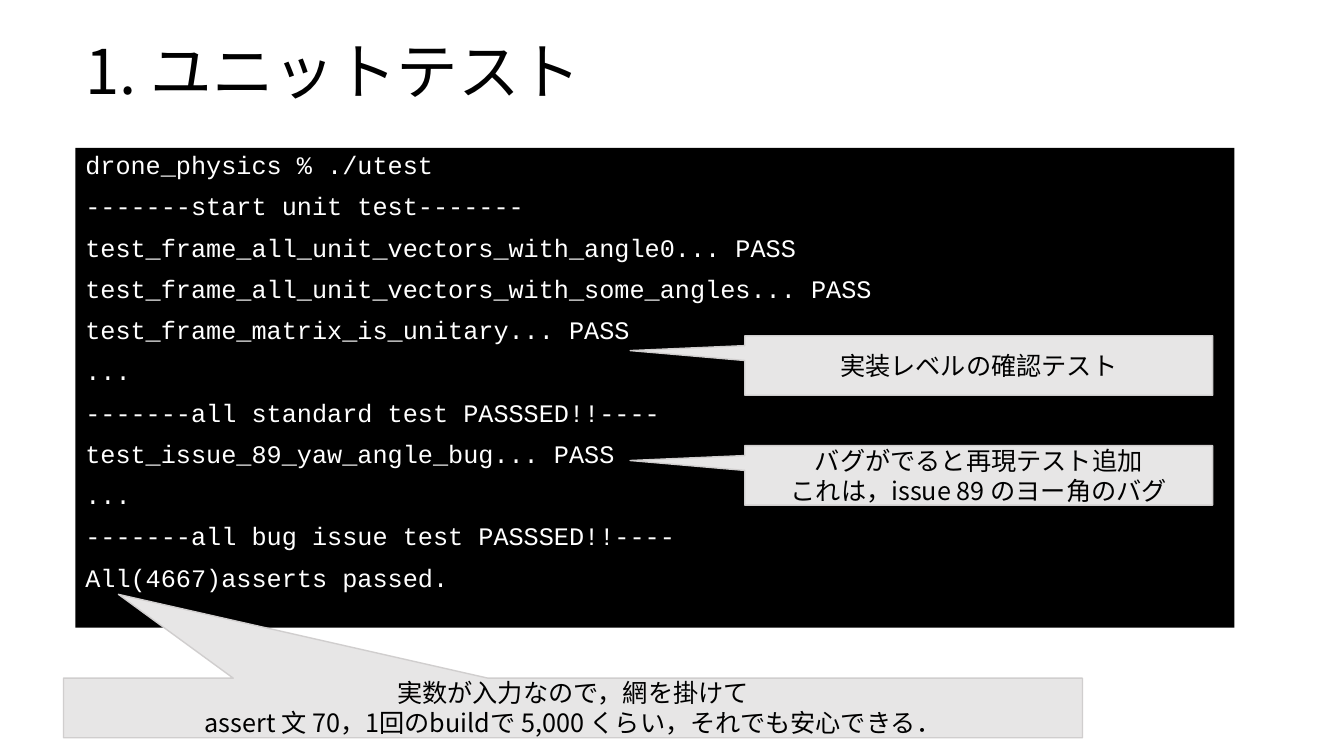
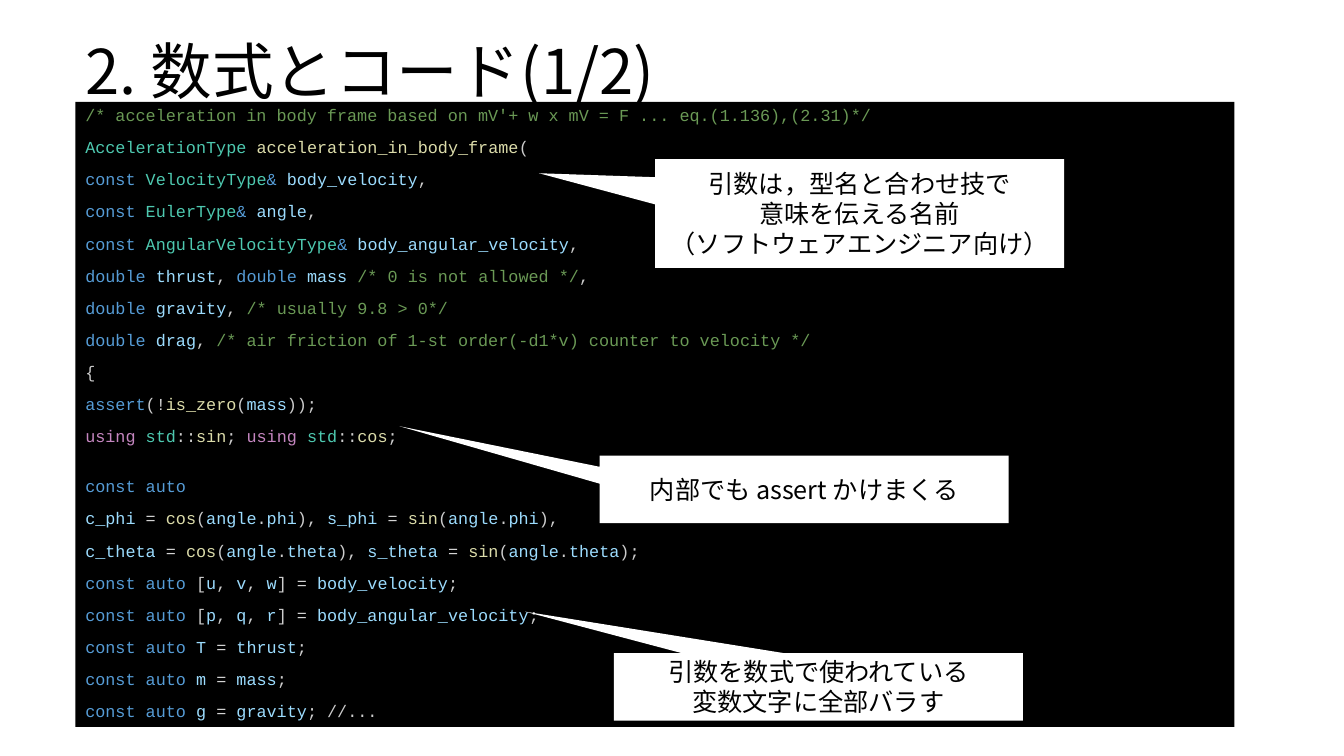
from itertools import groupby

from lxml.etree import SubElement
from pptx import Presentation
from pptx.dml.color import RGBColor
from pptx.enum.shapes import MSO_SHAPE
from pptx.enum.text import MSO_ANCHOR, PP_ALIGN
from pptx.oxml.ns import qn
from pptx.util import Cm, Pt

BLACK = RGBColor(0x00, 0x00, 0x00)
WHITE = RGBColor(0xFF, 0xFF, 0xFF)
LIGHT_GREY = RGBColor(0xE7, 0xE6, 0xE6)
BORDER_GREY = RGBColor(0xD0, 0xCE, 0xCE)
COMMENT_GREEN = RGBColor(0x6A, 0x99, 0x55)
TYPE_TEAL = RGBColor(0x4E, 0xC9, 0xB0)
FUNCTION_YELLOW = RGBColor(0xDC, 0xDC, 0xAA)
KEYWORD_BLUE = RGBColor(0x56, 0x9C, 0xD6)
USING_PURPLE = RGBColor(0xC5, 0x86, 0xC0)
VARIABLE_BLUE = RGBColor(0x9C, 0xDC, 0xFE)
OPERATOR_GREY = RGBColor(0xD4, 0xD4, 0xD4)
PUNCTUATION_GREY = RGBColor(0xCC, 0xCC, 0xCC)

WORD_COLORS = {
    **dict.fromkeys(["const", "auto", "double", "assert"], KEYWORD_BLUE),
    **dict.fromkeys(["AccelerationType", "VelocityType", "EulerType",
                     "AngularVelocityType", "std"], TYPE_TEAL),
    **dict.fromkeys(["acceleration_in_body_frame", "is_zero", "sin", "cos"],
                    FUNCTION_YELLOW),
    "using": USING_PURPLE,
}
SYMBOL_COLORS = {"&": KEYWORD_BLUE, "=": OPERATOR_GREY, "!": OPERATOR_GREY}

TERMINAL_LINES = [
    "drone_physics % ./utest",
    "-------start unit test-------",
    "test_frame_all_unit_vectors_with_angle0... PASS",
    "test_frame_all_unit_vectors_with_some_angles... PASS",
    "test_frame_matrix_is_unitary... PASS",
    "...",
    "-------all standard test PASSSED!!----",
    "test_issue_89_yaw_angle_bug... PASS",
    "...",
    "-------all bug issue test PASSSED!!----",
    "All(4667)asserts passed.",
]
SIGNATURE_LINES = [
    "/* acceleration in body frame based on mV'+ w x mV = F ... eq.(1.136),(2.31)*/",
    "AccelerationType acceleration_in_body_frame(",
    "const VelocityType& body_velocity,",
    "const EulerType& angle,",
    "const AngularVelocityType& body_angular_velocity,",
    "double thrust, double mass /* 0 is not allowed */,",
    "double gravity, /* usually 9.8 > 0*/",
    "double drag, /* air friction of 1-st order(-d1*v) counter to velocity */",
    "{",
    "assert(!is_zero(mass));",
    "using std::sin; using std::cos;",
]
FORMULA_LINES = [
    "const auto",
    "c_phi = cos(angle.phi), s_phi = sin(angle.phi),",
    "c_theta = cos(angle.theta), s_theta = sin(angle.theta);",
    "const auto [u, v, w] = body_velocity;",
    "const auto [p, q, r] = body_angular_velocity;",
    "const auto T = thrust;",
    "const auto m = mass;",
    "const auto g = gravity; //...",
]


def character_kind(character):
    if character.isalnum() or character == "_":
        return "word"
    return SYMBOL_COLORS.get(character, PUNCTUATION_GREY)


def highlight(line):
    pieces = []
    for index, part in enumerate(line.replace("*/", "/*").split("/*")):
        if index % 2:
            pieces.append((f"/*{part}*/", COMMENT_GREEN))
            continue
        for kind, characters in groupby(part, character_kind):
            text = "".join(characters)
            color = WORD_COLORS.get(text, VARIABLE_BLUE) if kind == "word" else kind
            pieces.append((text, color))
    return pieces


def plain(line):
    return [(line, WHITE)]


class Deck:
    text_font = "Noto Sans CJK JP"
    code_font = "Courier New"
    left, width = Cm(1.9), Cm(29.21)

    def __init__(self):
        self.presentation = Presentation()
        self.presentation.slide_width = Cm(33.87)
        self.presentation.slide_height = Cm(19.05)
        self.slide = None

    def format_run(self, run, font, size, color):
        run.font.size = Pt(size)
        run.font.color.rgb = color
        run.font.name = font
        east_asian = SubElement(run.font._element, qn("a:ea"))
        east_asian.set("typeface", font)

    def add_slide(self, title):
        self.slide = self.presentation.slides.add_slide(
            self.presentation.slide_layouts[6])
        frame = self.slide.shapes.add_textbox(
            self.left, Cm(0.05), self.width, Cm(3.68)).text_frame
        frame.word_wrap = True
        frame.vertical_anchor = MSO_ANCHOR.MIDDLE
        frame.text = title
        paragraph = frame.paragraphs[0]
        paragraph.line_spacing = 0.9
        self.format_run(paragraph.runs[0], self.text_font, 44, BLACK)

    def add_box(self, kind, left, top, width, height, fill, border=None):
        shape = self.slide.shapes.add_shape(kind, left, top, width, height)
        shape.shadow.inherit = False
        shape.fill.solid()
        shape.fill.fore_color.rgb = fill
        if border is None:
            shape.line.fill.background()
        else:
            shape.line.color.rgb = border
            shape.line.width = Pt(1)
        shape.text_frame.word_wrap = True
        return shape

    def add_code(self, top, height, sections, size, colorize):
        frame = self.add_box(MSO_SHAPE.RECTANGLE, self.left, Cm(top),
                             self.width, Cm(height), BLACK).text_frame
        frame.vertical_anchor = MSO_ANCHOR.TOP
        paragraph = None
        for lines in sections:
            for index, line in enumerate(lines):
                paragraph = frame.add_paragraph() if paragraph else frame.paragraphs[0]
                starts_section = index == 0 and lines is not sections[0]
                paragraph.space_before = Pt(22.7 if starts_section else 10)
                paragraph.line_spacing = 0.9
                paragraph.alignment = PP_ALIGN.LEFT
                for text, color in colorize(line):
                    run = paragraph.add_run()
                    run.text = text
                    self.format_run(run, self.code_font, size, color)

    def add_callout(self, position, size, pointer, text, fill=WHITE, border=None):
        left, top, width, height = map(Cm, position + size)
        shape = self.add_box(MSO_SHAPE.RECTANGULAR_CALLOUT, left, top,
                             width, height, fill, border)
        shape.adjustments[0], shape.adjustments[1] = pointer
        frame = shape.text_frame
        frame.vertical_anchor = MSO_ANCHOR.MIDDLE
        frame.text = text
        for paragraph in frame.paragraphs:
            paragraph.alignment = PP_ALIGN.CENTER
            paragraph.line_spacing = Pt(21.5)
            self.format_run(paragraph.runs[0], self.text_font, 18, BLACK)


def build_unit_test(deck):
    deck.add_slide("1. ユニットテスト")
    deck.add_code(3.73, 12.09, [TERMINAL_LINES], 18, plain)
    side_size, side_pointer = (11.79, 1.5), (-0.745, -0.25)
    for position, size, pointer, text in [
        ((1.6, 17.09), (25.68, 1.5), (-0.446, -1.908),
         "実数が入力なので，網を掛けて\n"
         "assert 文 70，1回のbuildで 5,000 くらい，それでも安心できる．"),
        ((18.77, 11.23), side_size, side_pointer,
         "バグがでると再現テスト追加\nこれは，issue 89 のヨー角のバグ"),
        ((18.77, 8.46), side_size, side_pointer, "実装レベルの確認テスト"),
    ]:
        deck.add_callout(position, size, pointer, text, LIGHT_GREY, BORDER_GREY)


def build_formula_code(deck):
    deck.add_slide("2. 数式とコード(1/2)")
    deck.add_code(2.57, 15.75, [SIGNATURE_LINES, FORMULA_LINES], 12, highlight)
    for position, height, pointer, text in [
        ((15.47, 16.46), 1.7, (-0.717, -1.116),
         "引数を数式で使われている\n変数文字に全部バラす"),
        ((15.11, 11.48), 1.7, (-0.989, -0.935), "内部でも assert かけまくる"),
        ((16.51, 4.01), 2.74, (-0.784, -0.37),
         "引数は，型名と合わせ技で\n意味を伝える名前\n"
         "（ソフトウェアエンジニア向け）"),
    ]:
        deck.add_callout(position, (10.31, height), pointer, text)


def main():
    deck = Deck()
    build_unit_test(deck)
    build_formula_code(deck)
    deck.presentation.save("out.pptx")


if __name__ == "__main__":
    main()
